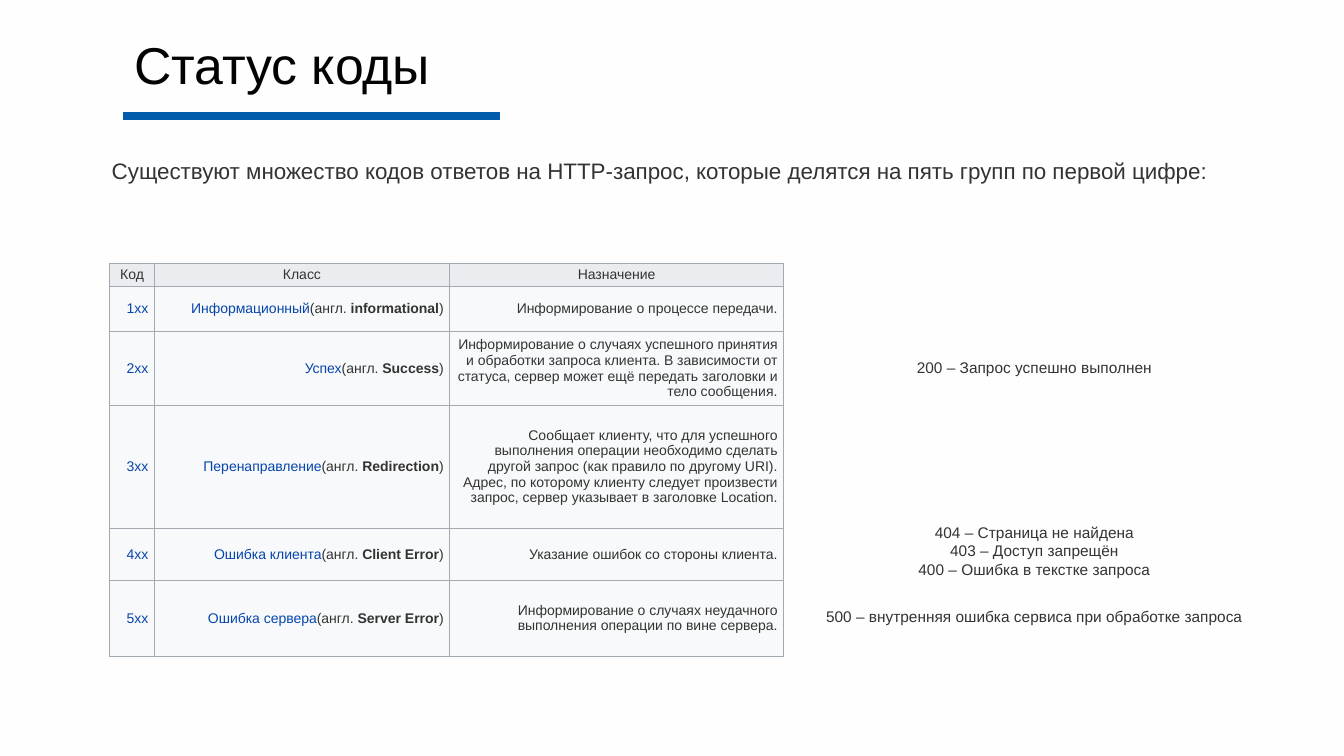
"""Build the slide on HTTP status code groups."""
from lxml import etree
from pptx import Presentation
from pptx.dml.color import RGBColor as RGB
from pptx.enum.text import MSO_ANCHOR as ANCHOR, MSO_AUTO_SIZE as AUTO, PP_ALIGN as ALIGN
from pptx.oxml.ns import qn
from pptx.util import Inches, Pt

COLORS = {"bg": "FEFEFE", "title": "020302", "text": "323332", "link": "0645AD",
          "rule": "015DAC", "border": "A2A9B1", "head": "EAECF0", "body": "F8F9FA"}


def style(p, size, color="text", align=ALIGN.CENTER):
    p.alignment = align
    for r in p.runs:
        r.font.size = Pt(size)
        r.font.name = "Arial"
        r.font.color.rgb = RGB.from_string(COLORS[color])


def add_border(cell):
    tcPr = cell._tc.get_or_add_tcPr()
    for i, side in enumerate(("a:lnL", "a:lnR", "a:lnT", "a:lnB")):
        ln = etree.Element(qn(side), w=str(Pt(0.75)))
        fill = etree.SubElement(ln, qn("a:solidFill"))
        etree.SubElement(fill, qn("a:srgbClr"), val=COLORS["border"])
        tcPr.insert(i, ln)


prs = Presentation()
prs.slide_width, prs.slide_height = Inches(13.33), Inches(7.5)
s = prs.slides.add_slide(prs.slide_layouts[5])
s.background.fill.solid()
s.background.fill.fore_color.rgb = RGB.from_string(COLORS["bg"])

rule = s.shapes.add_connector(1, Inches(1.22), Inches(1.15), Inches(4.96), Inches(1.15))
rule.line.color.rgb = RGB.from_string(COLORS["rule"])
rule.line.width = Pt(6)
etree.SubElement(rule._element.spPr, qn("a:effectLst"))

title = s.shapes.title
title.left, title.top, title.width, title.height = map(Inches, (1.23, 0.39, 10.64, 0.6))
tf = title.text_frame
tf.text = "Статус коды"
tf.auto_size = AUTO.NONE
tf.vertical_anchor = ANCHOR.BOTTOM
tf.paragraphs[0].line_spacing = 0.8
style(tf.paragraphs[0], 37, "title", ALIGN.LEFT)

notes = [
    (0.66, 1.51, 11.77, 0.37, 16,
     "Существуют множество кодов ответов на HTTP-запрос, которые делятся на пять групп по первой цифре:"),
    (8.09, 3.5, 4.34, 0.29, 11, "200 – Запрос успешно выполнен"),
    (8.09, 5.14, 4.34, 0.66, 11,
     "404 – Страница не найдена\n403 – Доступ запрещён\n400 – Ошибка в текстке запроса"),
    (8.09, 5.97, 4.34, 0.29, 11, "500 – внутренняя ошибка сервиса при обработке запроса"),
]
for x, y, w, h, size, text in notes:
    tf = s.shapes.add_textbox(Inches(x), Inches(y), Inches(w), Inches(h)).text_frame
    tf.text = text
    tf.word_wrap = True
    tf.auto_size = AUTO.SHAPE_TO_FIT_TEXT
    tf.margin_left = tf.margin_right = tf.margin_top = tf.margin_bottom = Inches(0.05)
    for p in tf.paragraphs:
        style(p, size)

headers = ["Код", "Класс", "Назначение"]
groups = [
    ("1xx", "Информационный", "informational", "Информирование о процессе передачи."),
    ("2xx", "Успех", "Success",
     "Информирование о случаях успешного принятия и обработки запроса клиента. "
     "В зависимости от статуса, сервер может ещё передать заголовки и тело сообщения."),
    ("3xx", "Перенаправление", "Redirection",
     "Сообщает клиенту, что для успешного выполнения операции необходимо сделать другой запрос "
     "(как правило по другому URI). Адрес, по которому клиенту следует произвести запрос, "
     "сервер указывает в заголовке Location."),
    ("4xx", "Ошибка клиента", "Client Error", "Указание ошибок со стороны клиента."),
    ("5xx", "Ошибка сервера", "Server Error",
     "Информирование о случаях неудачного выполнения операции по вине сервера."),
]
widths = [0.44, 2.93, 3.31]
heights = [0.23, 0.45, 0.73, 1.22, 0.52, 0.75]
table = s.shapes.add_table(len(heights), len(widths), Inches(1.09), Inches(2.61),
                           Inches(sum(widths)), Inches(sum(heights))).table
for col, w in zip(table.columns, widths):
    col.width = Inches(w)
for row, h in zip(table.rows, heights):
    row.height = Inches(h)

rows = [headers] + [(code, name, purpose) for code, name, _, purpose in groups]
for i, row in enumerate(rows):
    for j, text in enumerate(row):
        cell = table.cell(i, j)
        cell.text = text
        cell.vertical_anchor = ANCHOR.MIDDLE
        cell.margin_left = cell.margin_right = Inches(0.06)
        cell.margin_top = cell.margin_bottom = Inches(0.03)
        cell.fill.solid()
        cell.fill.fore_color.rgb = RGB.from_string(COLORS["body" if i else "head"])
        add_border(cell)
        p = cell.text_frame.paragraphs[0]
        p.runs[0].font.bold = False
        if i and j == 1:
            for part, bold in (("(англ. ", False), (groups[i - 1][2], True), (")", False)):
                r = p.add_run()
                r.text = part
                r.font.bold = bold
        style(p, 10, align=ALIGN.RIGHT if i else ALIGN.CENTER)
        if i and j < 2:
            p.runs[0].font.color.rgb = RGB.from_string(COLORS["link"])

prs.save("out.pptx")
